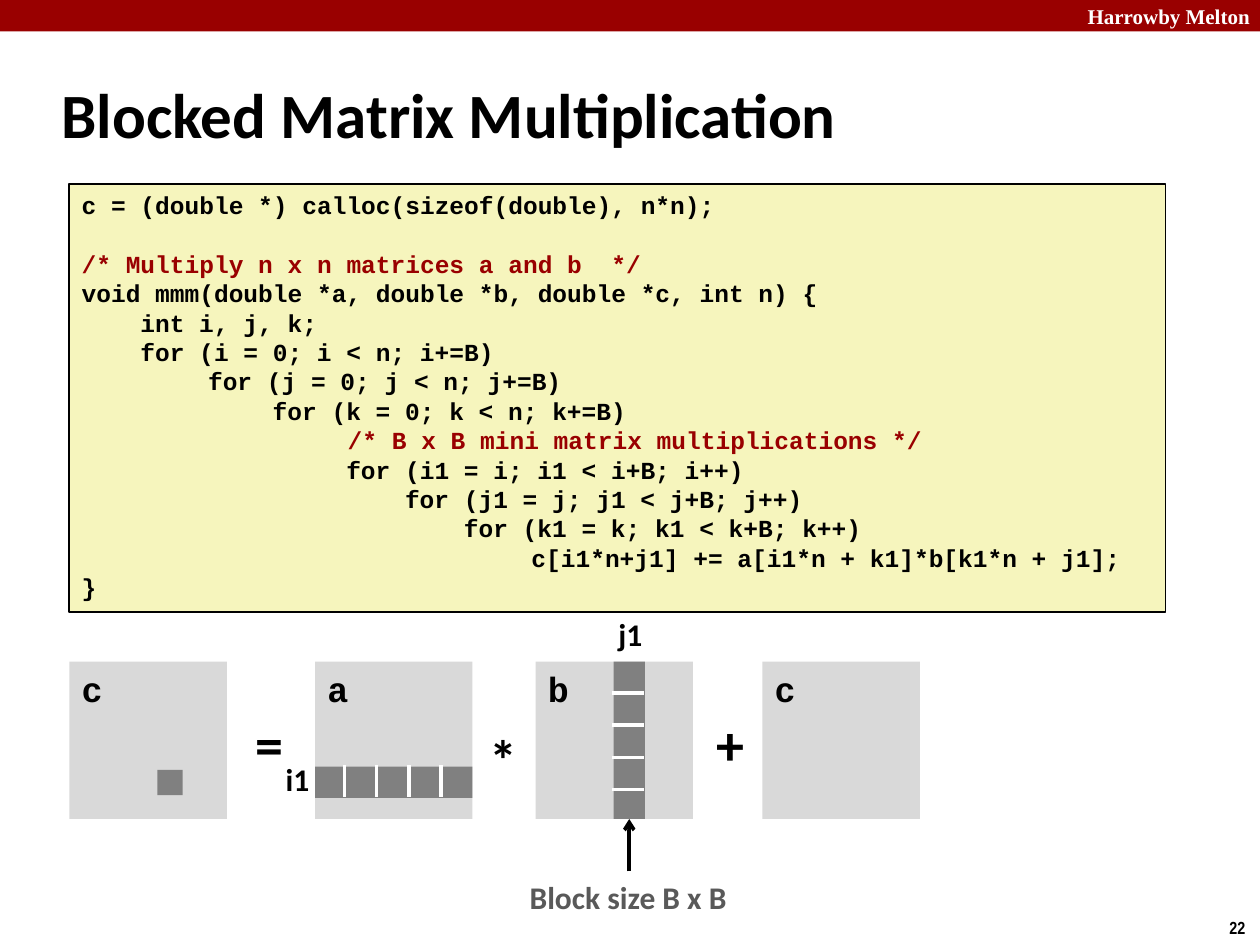
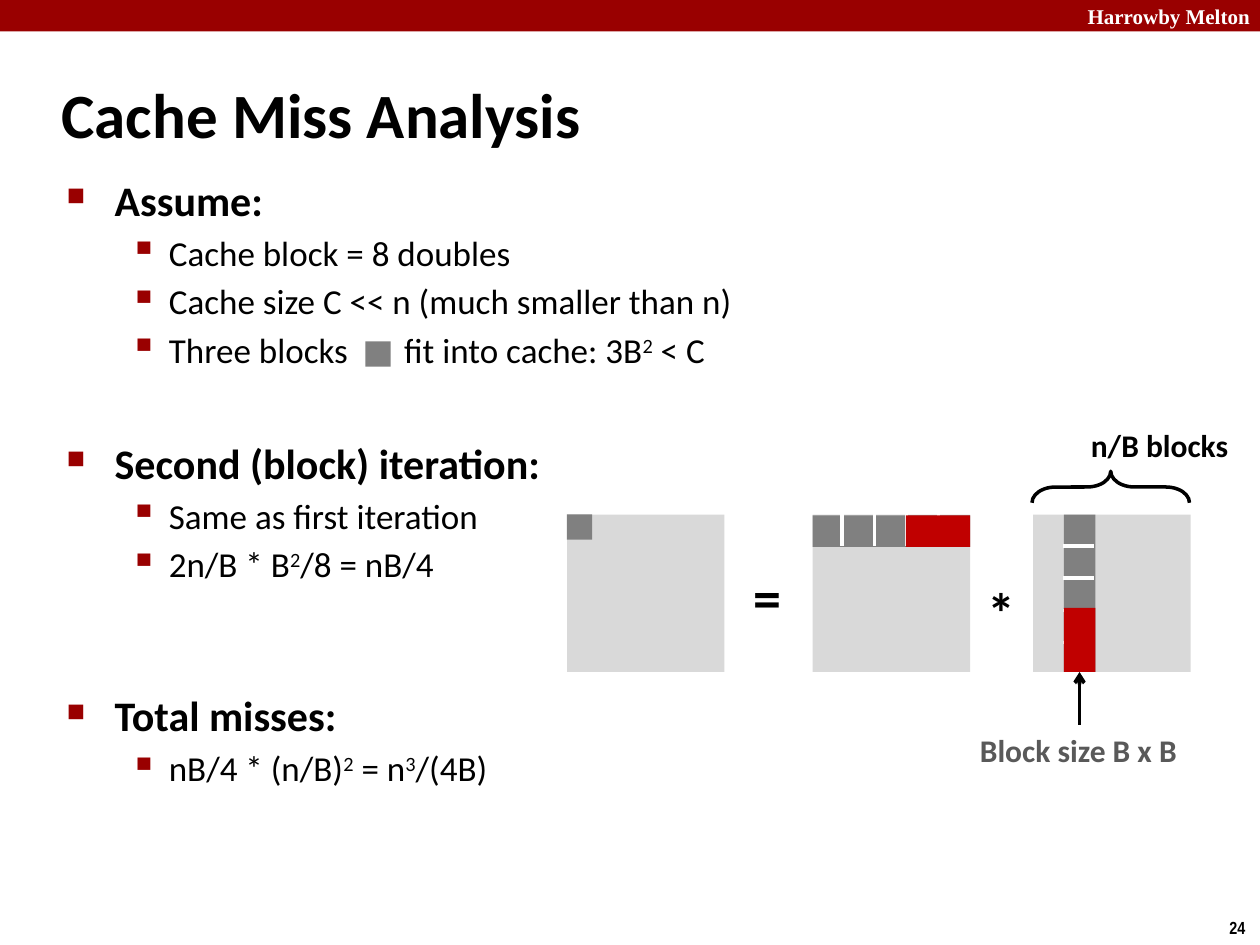
import pptx
import pptx.dml.color
import pptx.enum.shapes
import pptx.enum.text
import pptx.oxml.ns
import pptx.util
from dataclasses import dataclass
from lxml import etree

Pt = pptx.util.Pt
Align = pptx.enum.text.PP_ALIGN
Anchor = pptx.enum.text.MSO_ANCHOR
Shapes = pptx.enum.shapes.MSO_SHAPE


@dataclass(frozen=True)
class Theme:
    crimson: str = "990000"
    cream: str = "F6F5BD"
    panel: str = "D9D9D9"
    block: str = "808080"
    missed: str = "C00000"
    caption: str = "595959"
    black: str = "000000"
    white: str = "FFFFFF"
    sans: str = "Calibri"
    mono: str = "Courier New"
    serif: str = "Times New Roman"
    narrow: str = "Arial Narrow"
    title_size: float = 36
    operator_size: float = 32
    heading_size: float = 24
    item_size: float = 20
    label_size: float = 18
    code_size: float = 14
    band_size: float = 12
    number_size: float = 10


theme = Theme()

SCHOOL = "Harrowby Melton"
BLOCK_CAPTION = "Block size B x B"

CODE = [
    (0, "c = (double *) calloc(sizeof(double), n*n);"),
    (0, "/* Multiply n x n matrices a and b  */"),
    (0, "void mmm(double *a, double *b, double *c, int n) {"),
    (4, "int i, j, k;"),
    (4, "for (i = 0; i < n; i+=B)"),
    (8.6, "for (j = 0; j < n; j+=B)"),
    (13, "for (k = 0; k < n; k+=B)"),
    (18.1, "/* B x B mini matrix multiplications */"),
    (18, "for (i1 = i; i1 < i+B; i++)"),
    (22, "for (j1 = j; j1 < j+B; j++)"),
    (26, "for (k1 = k; k1 < k+B; k++)"),
    (30.6, "c[i1*n+j1] += a[i1*n + k1]*b[k1*n + j1];"),
    (0, "}"),
]
CODE_CHARACTER = 8.4
CODE_LINE = 16.8

OUTLINE = [
    ("Assume:", 0, [
        [("Cache block = 8 doubles", "")],
        [("Cache size C << n (much smaller than n)", "")],
        [("Three blocks", ""), (" ", "gap"), ("fit into cache: 3B", ""), ("2", "super"), (" < C", "")],
    ]),
    ("Second (block) iteration:", 38, [
        [("Same as first iteration", "")],
        [("2n/B * B", ""), ("2", "super"), ("/8 = nB/4", "")],
    ]),
    ("Total misses:", 60, [
        [("nB/4 * (n/B)", ""), ("2", "super"), (" = n", ""), ("3", "super"), ("/(4B)", "")],
    ]),
]

PANEL = 90
STRIP = 18
BLOCK = 14.4
FACTOR_A, FACTOR_B, ADDEND = 140.4, 266.4, 396
OPERATORS = [("=", 99.4, 24), ("*", 233.3, 32.6), ("+", 362.9, 24)]


def color(value):
    return pptx.dml.color.RGBColor.from_string(value)


def style(font, name, size, value, bold=True):
    font.name, font.size, font.bold = name, Pt(size), bold
    font.color.rgb = color(value)


def add_box(slide, left, top, width, height, fill=None, line=None, kind=Shapes.RECTANGLE, line_width=1):
    shape = slide.shapes.add_shape(kind, Pt(left), Pt(top), Pt(width), Pt(height))
    shape.shadow.inherit = False
    if fill:
        shape.fill.solid()
        shape.fill.fore_color.rgb = color(fill)
    else:
        shape.fill.background()
    if line:
        shape.line.color.rgb = color(line)
        shape.line.width = Pt(line_width)
    else:
        shape.line.fill.background()
    return shape


def write(shape, text, name, size, value, align=Align.LEFT, anchor=Anchor.TOP):
    frame = shape.text_frame
    frame.vertical_anchor = anchor
    paragraph = frame.paragraphs[0]
    paragraph.text = text
    paragraph.alignment = align
    style(paragraph.font, name, size, value)


def add_label(slide, text, left, top, width, height=28.8, size=theme.label_size,
              value=theme.black, name=theme.sans):
    box = slide.shapes.add_textbox(Pt(left), Pt(top), Pt(width), Pt(height))
    box.text_frame.word_wrap = False
    write(box, text, name, size, value)


def add_line(slide, start, end, value, arrow=False):
    points = [Pt(length) for length in (*start, *end)]
    connector = slide.shapes.add_connector(pptx.enum.shapes.MSO_CONNECTOR.STRAIGHT, *points)
    connector.line.color.rgb = color(value)
    connector.line.width = Pt(2)
    if arrow:
        etree.SubElement(connector.line._get_or_add_ln(), pptx.oxml.ns.qn("a:tailEnd"), type="arrow")
    etree.SubElement(connector._element.spPr, pptx.oxml.ns.qn("a:effectLst"))


def add_slide(presentation, title, number):
    slide = presentation.slides.add_slide(presentation.slide_layouts[5])
    band = add_box(slide, 0, 0, 720, 18, theme.crimson)
    band.text_frame.margin_right = Pt(5.7)
    band.text_frame.margin_top = band.text_frame.margin_bottom = 0
    write(band, SCHOOL, theme.serif, theme.band_size, theme.white, Align.RIGHT, Anchor.MIDDLE)
    add_label(slide, number, 695.5, 520.6, 24.5, 19.4, theme.number_size, name=theme.narrow)
    heading = slide.shapes.title
    heading.left, heading.top, heading.width, heading.height = Pt(28), Pt(34.6), Pt(597.6), Pt(59.8)
    write(heading, title, theme.sans, theme.title_size, theme.black, anchor=Anchor.MIDDLE)
    return slide


def draw_product(slide, left, top, panels, operators, block, row, column, missed_from=None):
    for offset, name in panels:
        panel = add_box(slide, left + offset, top, PANEL, PANEL, theme.panel)
        if name:
            write(panel, name, theme.mono, theme.item_size, theme.black)
    for sign, across, down in operators:
        add_label(slide, sign, left + across, top + down, 31, 46, theme.operator_size)

    row_left, row_top = left + FACTOR_A, top + row
    column_left = left + FACTOR_B + column
    add_box(slide, left + block[0], top + block[1], BLOCK, BLOCK, theme.block)
    add_box(slide, row_left, row_top, PANEL, STRIP, theme.block)
    add_box(slide, column_left, top, STRIP, PANEL, theme.block)
    for index in range(4):
        across = row_left + 16.8 + 18.4 * index
        down = top + 18 + 18.4 * index
        add_line(slide, (across, row_top - 0.7), (across, row_top + 17.3), theme.white)
        add_line(slide, (column_left + 17.3, down), (column_left - 0.7, down), theme.white)
    if missed_from:
        rest = PANEL - missed_from
        add_box(slide, row_left + missed_from, row_top, rest, STRIP, theme.missed)
        add_box(slide, column_left, top + missed_from, STRIP, rest, theme.missed)

    middle = column_left + STRIP / 2
    add_label(slide, BLOCK_CAPTION, middle - 64, top + PANEL + 30, 128, value=theme.caption)
    add_line(slide, (middle, top + PANEL + 30), (middle, top + PANEL), theme.black, arrow=True)


def draw_code(slide):
    frame = add_box(slide, 39.6, 105, 626.4, 244.8, theme.cream, theme.black).text_frame
    frame.vertical_anchor = Anchor.TOP
    frame.word_wrap = True
    for index, (indent, text) in enumerate(CODE):
        paragraph = frame.paragraphs[0] if index == 0 else frame.add_paragraph()
        paragraph.text = text
        paragraph.alignment = Align.LEFT
        paragraph.line_spacing = Pt(CODE_LINE)
        paragraph.space_before = Pt(CODE_LINE if index == 1 else 0)
        paragraph._p.get_or_add_pPr().set("marL", str(Pt(indent * CODE_CHARACTER)))
        value = theme.crimson if text.startswith("/*") else theme.black
        style(paragraph.font, theme.mono, theme.code_size, value)


def add_bullet(paragraph, symbol, percent, margin, hanging):
    properties = paragraph._p.get_or_add_pPr()
    properties.set("marL", str(Pt(margin)))
    properties.set("indent", str(-Pt(hanging)))
    holder = etree.SubElement(properties, pptx.oxml.ns.qn("a:buClr"))
    etree.SubElement(holder, pptx.oxml.ns.qn("a:srgbClr"), val=theme.crimson)
    etree.SubElement(properties, pptx.oxml.ns.qn("a:buSzPct"), val=str(percent * 1000))
    etree.SubElement(properties, pptx.oxml.ns.qn("a:buChar"), char=symbol)


def draw_outline(slide):
    box = slide.shapes.add_textbox(Pt(31), Pt(96), Pt(622), Pt(420))
    frame = box.text_frame
    frame.word_wrap = True
    for index, (heading, gap, items) in enumerate(OUTLINE):
        paragraph = frame.paragraphs[0] if index == 0 else frame.add_paragraph()
        paragraph.text = heading
        paragraph.space_before = Pt(gap)
        add_bullet(paragraph, "■", 60, 27.4, 27.4)
        style(paragraph.font, theme.sans, theme.heading_size, theme.black)
        for pieces in items:
            paragraph = frame.add_paragraph()
            paragraph.space_before = Pt(3.8)
            add_bullet(paragraph, "▪", 110, 58.4, 22.4)
            style(paragraph.font, theme.sans, theme.item_size, theme.black, bold=False)
            for text, kind in pieces:
                run = paragraph.add_run()
                run.text = text
                if kind == "super":
                    run.font._element.set("baseline", "30000")
                elif kind == "gap":
                    run.font._element.set("spc", "2750")


def build_multiplication(presentation):
    slide = add_slide(presentation, "Blocked Matrix Multiplication", "22")
    draw_code(slide)
    panels = [(0, "c"), (FACTOR_A, "a"), (FACTOR_B, "b"), (ADDEND, "c")]
    draw_product(slide, 39.6, 378, panels, OPERATORS, (50.4, 62), row=60, column=44.6)
    add_label(slide, "i1", 156.2, 430.6, 28)
    add_label(slide, "j1", 346.3, 347.8, 28)


def build_analysis(presentation):
    slide = add_slide(presentation, "Cache Miss Analysis", "24")
    draw_outline(slide)
    panels = [(offset, "") for offset in (0, FACTOR_A, FACTOR_B)]
    draw_product(slide, 324, 294, panels, OPERATORS[:2], (0, 0), row=0.5, column=17.5, missed_from=53.3)
    add_box(slide, 208.8, 195.1, BLOCK, BLOCK, theme.block)
    brace = add_box(slide, 625.7, 233.3, STRIP, PANEL, line=theme.black, kind=Shapes.LEFT_BRACE, line_width=2)
    brace.rotation = 90
    brace.adjustments[0] = 0.75
    add_label(slide, "n/B blocks", 616.3, 239.8, 93.6)


def main():
    presentation = pptx.Presentation()
    presentation.slide_width, presentation.slide_height = Pt(720), Pt(540)
    build_multiplication(presentation)
    build_analysis(presentation)
    presentation.save("out.pptx")


if __name__ == "__main__":
    main()
